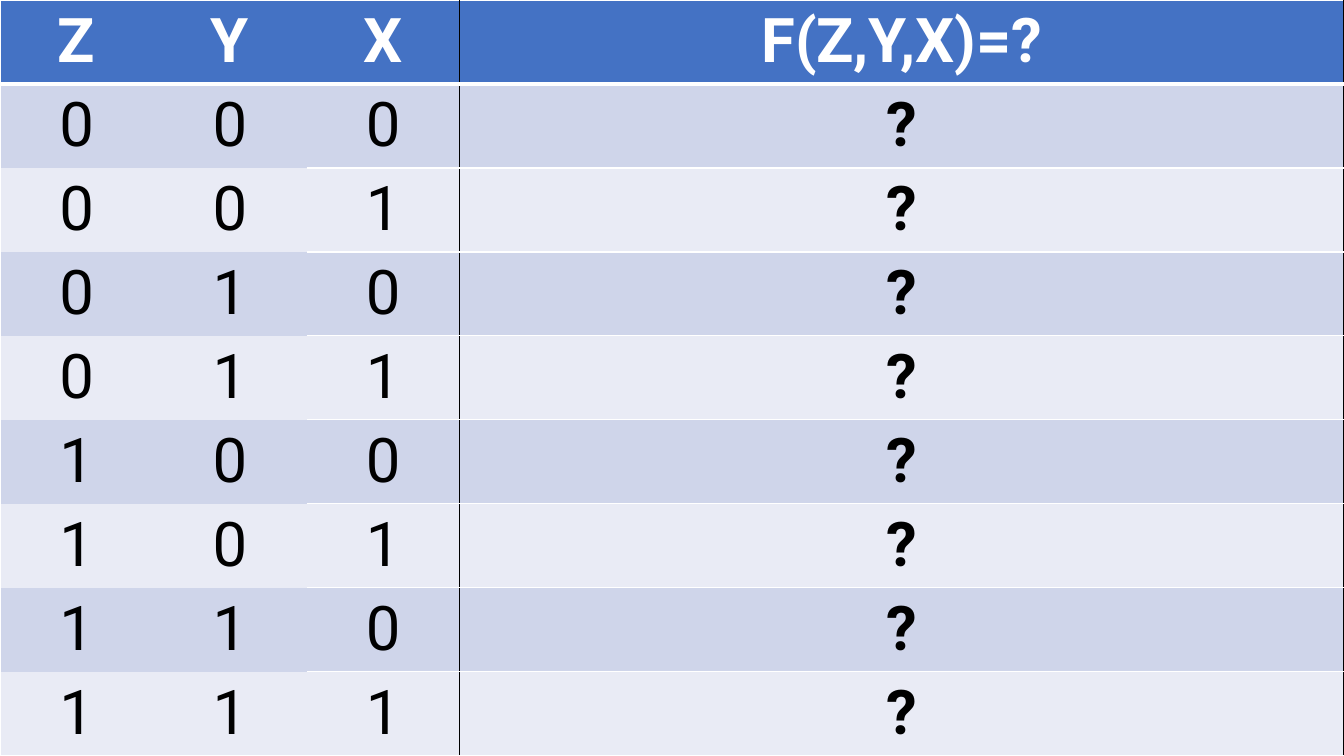
from dataclasses import dataclass
from itertools import product

from lxml import etree
from pptx import Presentation
from pptx import util as u
from pptx.dml.color import RGBColor
from pptx.enum import text
from pptx.oxml.ns import qn
from pptx.table import _Cell

PX = 9525
PAGE_WIDTH, PAGE_HEIGHT = 1280, 720
INPUT_WIDTH = 146

WHITE = RGBColor(0xFF, 0xFF, 0xFF)
BLACK = RGBColor(0x00, 0x00, 0x00)
HEADER_BLUE = RGBColor(0x44, 0x72, 0xC4)
DARK_BAND = RGBColor(0xCF, 0xD5, 0xEA)
LIGHT_BAND = RGBColor(0xE9, 0xEB, 0xF5)

HEADER = ("Z", "Y", "X", "F(Z,Y,X)=?")
BODY = [(*bits, "?") for bits in product("01", repeat=3)]
ROWS = [HEADER, *BODY]
LAST_ROW = len(ROWS) - 1
X_COLUMN, RESULT_COLUMN = 2, 3


@dataclass(frozen=True)
class Border:
    color: RGBColor
    points: int = 1


THIN_WHITE = Border(WHITE)
THICK_WHITE = Border(WHITE, 3)
THIN_BLACK = Border(BLACK)


def px(length: int) -> u.Emu:
    return u.Emu(length * PX)


def row_line(edge: int, column: int) -> Border | None:
    """Border on the horizontal edge above the row numbered edge."""
    if edge == 1:
        return THICK_WHITE
    if column >= X_COLUMN or edge in (0, len(ROWS)):
        return THIN_WHITE
    return None


def column_line(edge: int) -> Border | None:
    """Border on the vertical edge left of the column numbered edge."""
    if edge == 0:
        return THIN_WHITE
    return THIN_BLACK if edge >= RESULT_COLUMN else None


def set_border(cell: _Cell, side: str, border: Border | None) -> None:
    properties = cell._tc.get_or_add_tcPr()
    line = etree.SubElement(properties, qn(f"a:ln{side}"))
    if border is None:
        line.set("w", "0")
        etree.SubElement(line, qn("a:noFill"))
        return
    line.set("w", str(u.Pt(border.points)))
    fill = etree.SubElement(line, qn("a:solidFill"))
    etree.SubElement(fill, qn("a:srgbClr"), val=str(border.color))


def fill_cell(cell: _Cell, row: int, column: int) -> None:
    is_header = row == 0
    set_border(cell, "L", column_line(column))
    set_border(cell, "R", column_line(column + 1))
    set_border(cell, "T", row_line(row, column))
    set_border(cell, "B", row_line(row + 1, column))

    cell.fill.solid()
    band = DARK_BAND if row % 2 else LIGHT_BAND
    cell.fill.fore_color.rgb = HEADER_BLUE if is_header else band

    cell.text = ROWS[row][column]
    cell.vertical_anchor = text.MSO_ANCHOR.MIDDLE
    para = cell.text_frame.paragraphs[0]
    para.alignment = text.PP_ALIGN.CENTER
    para.font.name = "Roboto"
    para.font.size = u.Pt(44)
    para.font.bold = is_header or column == RESULT_COLUMN
    para.font.color.rgb = WHITE if is_header else BLACK


def main() -> None:
    deck = Presentation()
    deck.slide_width, deck.slide_height = px(PAGE_WIDTH), px(PAGE_HEIGHT)
    page = deck.slides.add_slide(deck.slide_layouts[6])

    table = page.shapes.add_table(
        len(ROWS), len(HEADER), 0, 0, px(PAGE_WIDTH), px(PAGE_HEIGHT)
    ).table
    for column in range(RESULT_COLUMN):
        table.columns[column].width = px(INPUT_WIDTH)
    table.columns[RESULT_COLUMN].width = px(PAGE_WIDTH - RESULT_COLUMN * INPUT_WIDTH)
    for line in table.rows:
        line.height = px(PAGE_HEIGHT // len(ROWS))

    for row, column in product(range(len(ROWS)), range(len(HEADER))):
        fill_cell(table.cell(row, column), row, column)

    deck.save("out.pptx")


if __name__ == "__main__":
    main()
